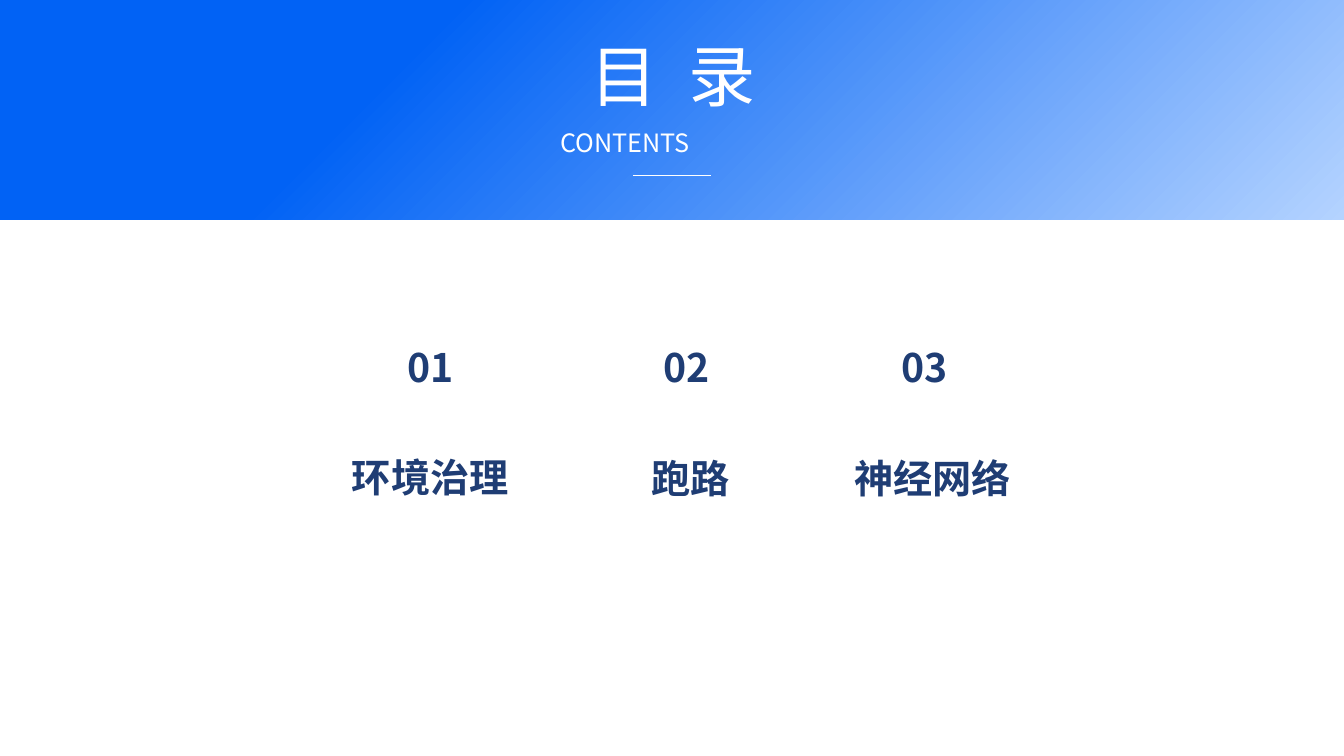
from pptx import Presentation
from pptx.dml.color import RGBColor
from pptx.enum import shapes, text
from pptx.oxml import ns
from pptx import util as u
from lxml import etree

PX = 9144  # EMU per px, 100 px to the inch
FONT = "Noto Sans CJK SC"
WHITE = RGBColor(0xFF, 0xFF, 0xFF)
NAVY = RGBColor(0x1F, 0x3D, 0x74)
BLUE = RGBColor(0x01, 0x62, 0xF5)
PALE_BLUE = RGBColor(0xB4, 0xD3, 0xFF)
CENTER = text.PP_ALIGN.CENTER


def px(*lengths):
    return [u.Emu(n * PX) for n in lengths]


def add_text(s, box, words, size, color, bold=False, align=CENTER):
    """Add one line of text and return its paragraph."""
    tf = s.shapes.add_textbox(*px(*box)).text_frame
    tf.word_wrap = True
    tf.vertical_anchor = text.MSO_ANCHOR.MIDDLE
    tf.margin_left = tf.margin_right = tf.margin_top = tf.margin_bottom = 0
    p = tf.paragraphs[0]
    p.alignment = align
    for word in words:
        r = p.add_run()
        r.text = word
        r.font.size, r.font.bold, r.font.name = u.Pt(size), bold, FONT
        r.font.color.rgb = color
        east_asian = etree.SubElement(r.font._element, ns.qn("a:ea"))
        east_asian.set("typeface", FONT)
    return p


def add_header(s, x, y, w, h):
    # Gradient band
    band = s.shapes.add_shape(shapes.MSO_SHAPE.ROUNDED_RECTANGLE, *px(x, y, w, h))
    band.adjustments[0] = 0
    band.shadow.inherit = False
    band.line.fill.background()
    band.fill.gradient()
    band.fill.gradient_angle = 315
    for stop, position, color in zip(band.fill.gradient_stops, (0.3, 1), (BLUE, PALE_BLUE)):
        stop.position, stop.color.rgb = position, color

    # Title, its two characters set apart by letter spacing
    title = add_text(s, (x + 1023, y + 86, 625, 172), ("目 ", "录"), 96, WHITE)
    title.runs[0].font._element.set("spc", "1075")
    add_text(s, (x + 1112, y + 271, 443, 71), ("CONTENTS",), 36, WHITE,
             align=text.PP_ALIGN.JUSTIFY)

    # Short rule
    rule = s.shapes.add_connector(shapes.MSO_CONNECTOR.STRAIGHT,
                                  *px(x + 1256, y + 372, x + 1411, y + 372))
    rule.line.color.rgb = WHITE
    rule.line.width = u.Pt(1.75)
    etree.SubElement(rule._element.spPr, ns.qn("a:effectLst"))


def add_chapters(s, x, y):
    # Number and name offsets for each chapter
    chapters = (("环境治理", 147, 0, 219), ("跑路", 655, 516, 221),
                ("神经网络", 1127, 997, 221))
    for i, (name, number_x, name_x, name_y) in enumerate(chapters, 1):
        add_text(s, (x + number_x, y, 171, 104), (f"{i:02}",), 56, NAVY, True)
        add_text(s, (x + name_x, y + name_y, 464, 104), (name,), 56, NAVY, True)


def main():
    prs = Presentation()
    prs.slide_width, prs.slide_height = px(2667, 1500)
    s = prs.slides.add_slide(prs.slide_layouts[6])
    add_header(s, 0, -23, 2667, 459)
    add_chapters(s, 622, 676)
    prs.save("out.pptx")


if __name__ == "__main__":
    main()
